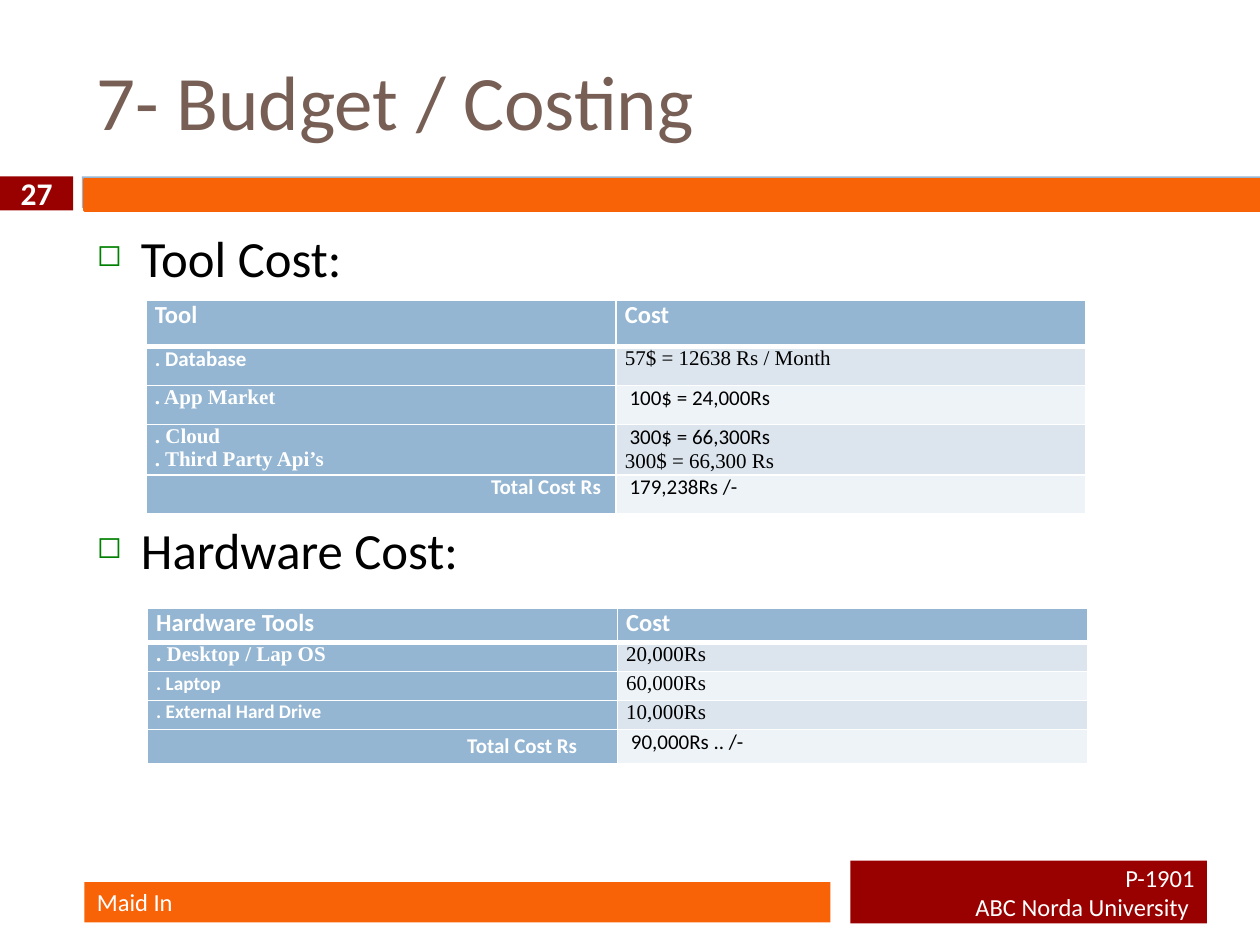
import pptx
import pptx.dml.color
import pptx.enum.shapes
import pptx.enum.text
import pptx.oxml
import pptx.oxml.ns
import pptx.util

Inches = pptx.util.Inches
Pt = pptx.util.Pt
RGBColor = pptx.dml.color.RGBColor
ALIGN = pptx.enum.text.PP_ALIGN
ANCHOR = pptx.enum.text.MSO_ANCHOR

ORANGE = RGBColor(0xF8, 0x63, 0x08)
RED = RGBColor(0x99, 0x00, 0x00)
BLUE = RGBColor(0x94, 0xB6, 0xD2)
BAND_DARK = RGBColor(0xDC, 0xE5, 0xEE)
BAND_LIGHT = RGBColor(0xEE, 0xF3, 0xF7)
BROWN = RGBColor(0x77, 0x5F, 0x55)
BLACK = RGBColor(0, 0, 0)
WHITE = RGBColor(0xFF, 0xFF, 0xFF)

SANS = "Calibri"
SERIF = "Times New Roman"

# Each cell is a list of lines: (text, size, font)
TOOL_ROWS = [
    ([("Tool", 14, SANS)], [("Cost", 14, SANS)]),
    ([(". Database", 12, SANS)], [("57$ = 12638 Rs / Month", 12, SERIF)]),
    ([(". App Market", 12, SERIF)], [(" 100$ = 24,000Rs", 12, SANS)]),
    ([(". Cloud", 12, SERIF), (". Third Party Api’s", 12, SERIF)],
     [(" 300$ = 66,300Rs", 12, SANS), ("300$ = 66,300 Rs", 12, SERIF)]),
    ([("Total Cost Rs", 12, SANS)], [(" 179,238Rs /-", 12, SANS)]),
]
HARDWARE_ROWS = [
    ([("Hardware Tools", 14, SANS)], [("Cost", 14, SANS)]),
    ([(". Desktop / Lap OS", 12, SERIF)], [("20,000Rs", 12, SERIF)]),
    ([(". Laptop", 11, SANS)], [("60,000Rs", 12, SERIF)]),
    ([(". External Hard Drive", 11, SANS)], [("10,000Rs", 12, SERIF)]),
    ([("Total Cost Rs", 12, SANS)], [(" 90,000Rs .. /-", 12, SANS)]),
]


def write_lines(frame, lines, color, bold=False, align=ALIGN.LEFT):
    for index, (text, size, font) in enumerate(lines):
        para = frame.paragraphs[0] if index == 0 else frame.add_paragraph()
        para.text = text
        para.alignment = align
        para.font.size = Pt(size)
        para.font.name = font
        para.font.bold = bold
        para.font.color.rgb = color


def add_bar(page, box, fill, lines=(), bold=False, align=ALIGN.LEFT):
    bar = page.shapes.add_shape(pptx.enum.shapes.MSO_SHAPE.RECTANGLE,
                                *map(Inches, box))
    bar.shadow.inherit = False
    bar.fill.solid()
    bar.fill.fore_color.rgb = fill
    bar.line.fill.background()
    bar.text_frame.word_wrap = True
    bar.text_frame.vertical_anchor = ANCHOR.MIDDLE
    bar.text_frame.margin_top = bar.text_frame.margin_bottom = 0
    write_lines(bar.text_frame, lines, WHITE, bold, align)
    return bar


def add_text(page, box, lines, color, anchor=ANCHOR.TOP):
    frame = page.shapes.add_textbox(*map(Inches, box)).text_frame
    frame.word_wrap = True
    frame.vertical_anchor = anchor
    write_lines(frame, lines, color)
    return frame


def add_bullet(para):
    props = para._p.get_or_add_pPr()
    props.set("marL", str(Inches(0.35)))
    props.set("indent", str(-Inches(0.35)))
    namespace = pptx.oxml.ns.nsdecls("a")
    for xml in (f'<a:buClr {namespace}><a:srgbClr val="008000"/></a:buClr>',
                f'<a:buSzPct {namespace} val="60000"/>',
                f'<a:buChar {namespace} char="◻"/>'):
        props.append(pptx.oxml.parse_xml(xml))


def set_borders(cell, bottom, top):
    props = cell._tc.get_or_add_tcPr()
    sides = (("lnL", 1), ("lnR", 1), ("lnT", top), ("lnB", bottom))
    for position, (side, width) in enumerate(sides):
        props.insert(position, pptx.oxml.parse_xml(
            f'<a:{side} {pptx.oxml.ns.nsdecls("a")} w="{Pt(width)}">'
            f'<a:solidFill><a:srgbClr val="{WHITE}"/></a:solidFill></a:{side}>'))


def add_cost_table(page, left, top, heights, rows, total_margins):
    table = page.shapes.add_table(len(rows), 2, Inches(left), Inches(top),
                                  Inches(7.46), Inches(sum(heights))).table
    for column in table.columns:
        column.width = Inches(3.73)
    for r, (height, row) in enumerate(zip(heights, rows)):
        table.rows[r].height = Inches(height)
        for c, lines in enumerate(row):
            cell = table.cell(r, c)
            heading = r == 0 or c == 0
            is_total = r == len(rows) - 1 and c == 0
            cell.margin_left = cell.margin_right = Inches(0.07)
            cell.margin_top = cell.margin_bottom = 0
            if is_total:
                cell.margin_right, cell.margin_top = map(Inches, total_margins)
            cell.fill.solid()
            band = BAND_DARK if r % 2 else BAND_LIGHT
            cell.fill.fore_color.rgb = BLUE if heading else band
            set_borders(cell, 3 if r == 0 else 1, 3 if r == 1 else 1)
            write_lines(cell.text_frame, lines, WHITE if heading else BLACK,
                        heading, ALIGN.RIGHT if is_total else ALIGN.LEFT)


def main():
    deck = pptx.Presentation()
    deck.slide_width, deck.slide_height = Inches(10), Inches(7.5)
    page = deck.slides.add_slide(deck.slide_layouts[6])

    # Header band
    add_bar(page, (0.65, 1.4, 9.35, 0.25), BLUE)
    band = add_bar(page, (0.67, 1.42, 9.33, 0.25), ORANGE)
    band.line.color.rgb = ORANGE
    band.line.width = Pt(1.5)

    # Title and section headings
    add_text(page, (0.67, 0.25, 8.33, 1.08),
             [("7- Budget / Costing", 44, SANS)], BROWN, ANCHOR.MIDDLE)
    headings = add_text(page, (0.67, 1.75, 8.92, 4.92),
                        [("Tool Cost:", 29, SANS), ("Hardware Cost:", 29, SANS)],
                        BLACK)
    for para, gap in zip(headings.paragraphs, (1, 132)):
        para.space_before = Pt(gap)
        add_bullet(para)

    # Footer and page number
    add_bar(page, (0.67, 7, 5.92, 0.32), ORANGE, [("Maid In", 14, SANS)])
    add_bar(page, (6.75, 6.83, 2.83, 0.5), RED,
            [("P-1901", 14, SANS), ("ABC Norda University ", 14, SANS)],
            align=ALIGN.RIGHT)
    add_bar(page, (0, 1.4, 0.58, 0.27), RED, [("27", 18, SANS)], True,
            ALIGN.CENTER)

    # Cost tables
    add_cost_table(page, 1.16, 2.38, [0.37, 0.31, 0.31, 0.39, 0.31],
                   TOOL_ROWS, (0.12, 0))
    add_cost_table(page, 1.17, 4.83, [0.27, 0.23, 0.23, 0.23, 0.27],
                   HARDWARE_ROWS, (0.32, 0.03))

    deck.save("out.pptx")


if __name__ == "__main__":
    main()
